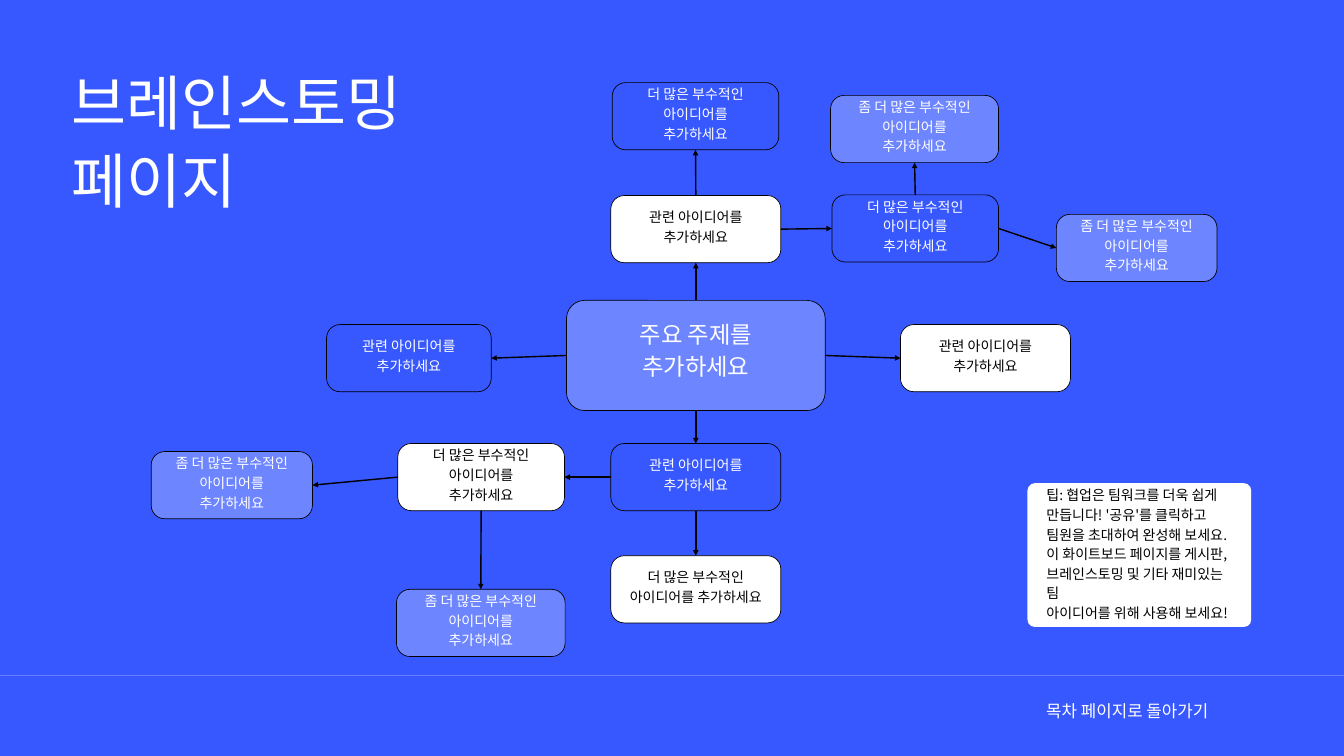
from dataclasses import dataclass

from lxml.etree import SubElement
from pptx import Presentation
from pptx.dml.color import RGBColor
from pptx.enum.shapes import MSO_CONNECTOR, MSO_SHAPE
from pptx.enum.text import MSO_ANCHOR, PP_ALIGN
from pptx.oxml.ns import qn
from pptx.util import Inches, Pt

COLUMNS, ROWS = 20, 11.25
TOP, LEFT, BOTTOM, RIGHT = range(4)


@dataclass(frozen=True)
class Theme:
    blue: str = "3858FF"
    pale: str = "6D85FF"
    white: str = "FFFFFF"
    black: str = "000000"
    font: str = "Calibri"
    tip_font: str = "Noto Sans CJK KR"
    title: float = 64
    topic: float = 25
    footer: float = 18
    body: float = 15
    outline: float = 0.75
    arrow: float = 1.5


class MindMap:
    """Draws mind map elements on one slide, placed in columns and rows."""

    def __init__(self, deck, theme):
        self.theme = theme
        self.column = deck.slide_width / COLUMNS
        self.row = deck.slide_height / ROWS
        self.page = deck.slides.add_slide(deck.slide_layouts[6])
        self.paint(self.page.background.fill, theme.blue)

    def place(self, left, top, width, height):
        return (round(left * self.column), round(top * self.row),
                round(width * self.column), round(height * self.row))

    def paint(self, fill, color):
        fill.solid()
        fill.fore_color.rgb = RGBColor.from_string(color)

    def fill_text(self, box, lines, size, leading, color, align, fonts=(), **frame):
        layout = {"word_wrap": True, "margin_left": 0, "margin_right": 0,
                  "margin_top": 0, "margin_bottom": 0, **frame}
        for name, value in layout.items():
            setattr(box.text_frame, name, value)
        for number, line in enumerate(lines):
            para = box.text_frame.paragraphs[0] if number == 0 else box.text_frame.add_paragraph()
            para.alignment, para.line_spacing = align, Pt(leading)
            span = para.add_run()
            span.text = line
            style = {"name": fonts[number] if fonts else self.theme.font, "size": Pt(size)}
            for name, value in style.items():
                setattr(span.font, name, value)
            span.font.color.rgb = RGBColor.from_string(color)

    def text(self, area, lines, size, leading, align):
        box = self.page.shapes.add_textbox(*self.place(*area))
        self.fill_text(box, lines, size, leading, self.theme.white, align)

    def card(self, area, fill, radius, outlined=True):
        card = self.page.shapes.add_shape(MSO_SHAPE.ROUNDED_RECTANGLE, *self.place(*area))
        card.adjustments[0] = radius / min(area[2:])
        card.shadow.inherit = False
        self.paint(card.fill, fill)
        if outlined:
            self.paint(card.line.fill, self.theme.black)
            card.line.width = Pt(self.theme.outline)
        else:
            card.line.fill.background()
        return card

    def node(self, area, fill, lines, size=None, leading=21, radius=0.2, lift=0.11):
        card = self.card(area, fill, radius)
        color = self.theme.black if fill == self.theme.white else self.theme.white
        self.fill_text(card, lines, size or self.theme.body, leading, color, PP_ALIGN.CENTER,
                       vertical_anchor=MSO_ANCHOR.MIDDLE, margin_bottom=Inches(lift),
                       margin_left=Inches(0.22), margin_right=Inches(0.22))
        return card

    def tip(self, area, lines, fonts):
        card = self.card(area, self.theme.white, 0.11, outlined=False)
        self.fill_text(card, lines, self.theme.body, 21, self.theme.black, PP_ALIGN.LEFT, fonts,
                       vertical_anchor=MSO_ANCHOR.MIDDLE, margin_bottom=Inches(0.07),
                       margin_left=Inches(0.25), margin_right=Inches(0.25))

    def line(self, start, end, color, width):
        ends = self.place(*start, *end)
        line = self.page.shapes.add_connector(MSO_CONNECTOR.STRAIGHT, *ends)
        self.paint(line.line.fill, color)
        line.line.width = Pt(width)
        SubElement(line._element.spPr, qn("a:effectLst"))
        return line

    def arrow(self, source, source_side, target, target_side):
        arrow = self.line((0, 0), (1, 1), self.theme.black, self.theme.arrow)
        arrow.begin_connect(source, source_side)
        arrow.end_connect(target, target_side)
        SubElement(arrow.line._get_or_add_ln(), qn("a:tailEnd"), type="triangle")

    def rule(self, row, opacity):
        rule = self.line((0, row), (COLUMNS, row), self.theme.white, self.theme.outline)
        color = rule.line._get_or_add_ln().find(".//" + qn("a:srgbClr"))
        SubElement(color, qn("a:alpha"), val=str(opacity * 1000))


def main():
    theme = Theme()
    deck = Presentation()
    deck.slide_width, deck.slide_height = Inches(COLUMNS), Inches(ROWS)
    page = MindMap(deck, theme)

    related = ["관련 아이디어를", "추가하세요"]
    more = ["더 많은 부수적인", "아이디어를 추가하세요"]
    further = ["좀 더 많은 부수적인", "아이디어를 추가하세요"]
    ideas = {
        "left": (4.86, 4.83, 2.45, theme.blue, related),
        "up": (9.09, 2.91, 2.53, theme.white, related),
        "down": (9.09, 6.6, 2.53, theme.blue, related),
        "right": (13.4, 4.83, 2.53, theme.white, related),
        "up right": (12.38, 2.9, 2.48, theme.blue, more),
        "up right top": (12.36, 1.42, 2.5, theme.pale, further),
        "up right end": (15.72, 3.19, 2.39, theme.pale, further),
        "down left": (5.92, 6.6, 2.48, theme.white, more),
        "down bottom": (9.09, 8.27, 2.53, theme.white, more),
        "down left end": (2.25, 6.72, 2.4, theme.pale, further),
        "down left bottom": (5.9, 8.77, 2.51, theme.pale, further),
        "up top": (9.11, 1.23, 2.48, theme.blue, more),
    }
    nodes = {"topic": page.node((8.43, 4.47, 3.85, 1.64), theme.pale,
                                ["주요 주제를", "추가하세요"], theme.topic, 35, 0.27, 0.23)}
    for name, (left, top, width, fill, lines) in ideas.items():
        nodes[name] = page.node((left, top, width, 1), fill, lines)

    opposite = {TOP: BOTTOM, BOTTOM: TOP, LEFT: RIGHT, RIGHT: LEFT}
    for source, side, target in [
        ("topic", LEFT, "left"), ("topic", TOP, "up"),
        ("topic", BOTTOM, "down"), ("topic", RIGHT, "right"),
        ("up", TOP, "up top"), ("up", RIGHT, "up right"),
        ("up right", TOP, "up right top"), ("up right", RIGHT, "up right end"),
        ("down", LEFT, "down left"), ("down", BOTTOM, "down bottom"),
        ("down left", LEFT, "down left end"), ("down left", BOTTOM, "down left bottom"),
    ]:
        page.arrow(nodes[source], side, nodes[target], opposite[side])

    page.rule(10.05, 34)
    page.text((14.59, 10.37, 3.39, 0.35), ["목차 페이지로 돌아가기"],
              theme.footer, 25.2, PP_ALIGN.RIGHT)
    page.text((1.07, 0.89, 7.36, 2.28), ["브레인스토밍", "페이지"],
              theme.title, 83.2, PP_ALIGN.LEFT)
    tip_lines = ["팁: 협업은 팀워크를 더욱 쉽게", "만듭니다! '공유'를 클릭하고",
                 "팀원을 초대하여 완성해 보세요.", "이 화이트보드 페이지를 게시판,",
                 "브레인스토밍 및 기타 재미있는 팀", "아이디어를 위해 사용해 보세요!"]
    page.tip((15.29, 7.19, 3.33, 2.14), tip_lines,
             [theme.tip_font] * 4 + [theme.font, theme.tip_font])
    deck.save("out.pptx")


if __name__ == "__main__":
    main()
